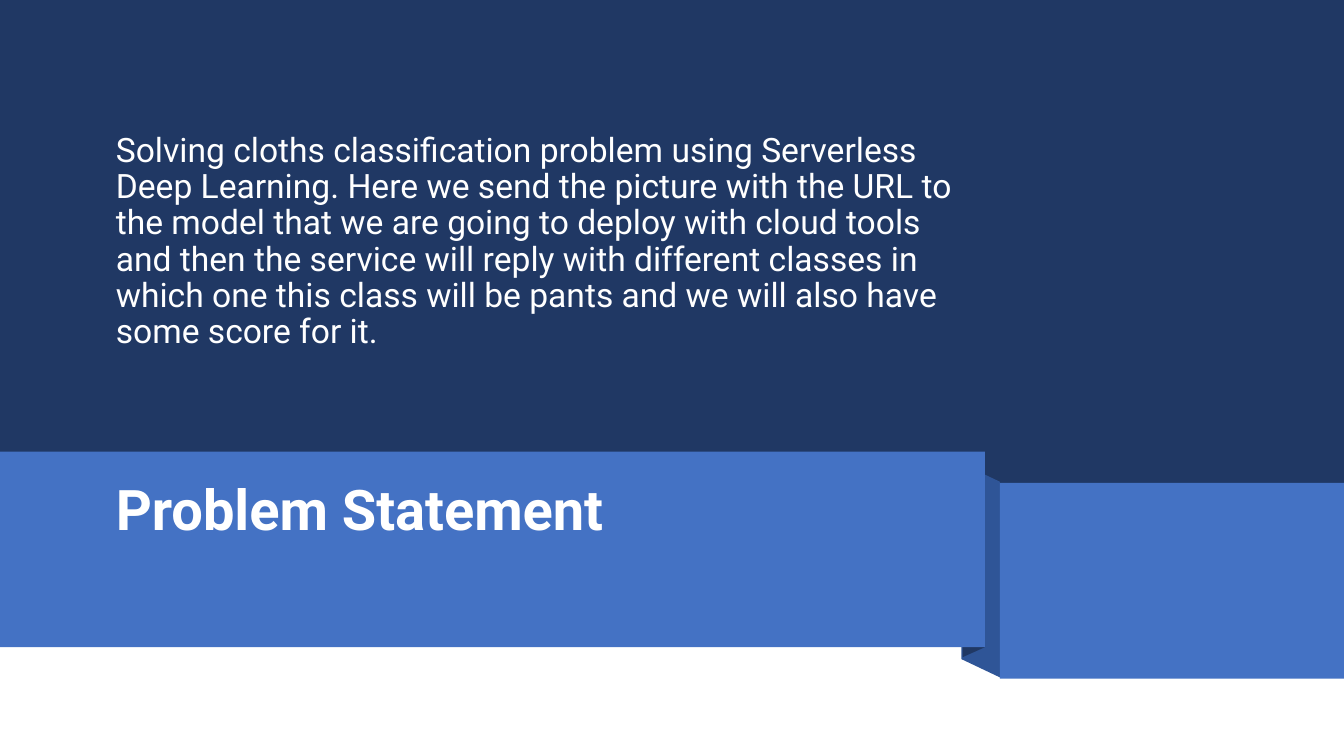
from dataclasses import dataclass

from pptx import Presentation
from pptx.dml.color import RGBColor
from pptx.enum.shapes import MSO_SHAPE
from pptx.enum.text import MSO_ANCHOR as Anchor
from pptx.shapes.autoshape import Shape
from pptx.slide import Slide
from pptx.util import Cm, Pt

SLIDE_WIDTH, SLIDE_HEIGHT = 33.87, 19.05
RIBBON_HEIGHT = 4.93
RIBBON_END = 24.82
TAIL_LEFT = 25.2
TEXT_LEFT = 2.67
NAVY, FOLD_BLUE, RIBBON_BLUE, WHITE = "203864", "2F5597", "4472C4", "FFFFFF"


@dataclass(frozen=True)
class Panel:
    left: float
    top: float
    width: float
    height: float
    color: str


@dataclass(frozen=True)
class Fold:
    """A ribbon fold: a slanted band as tall as the ribbon."""
    left: float
    left_top: float
    right: float
    right_top: float
    color: str


@dataclass(frozen=True)
class TextBlock:
    left: float
    top: float
    width: float
    height: float
    text: str
    size: int
    bold: bool
    anchor: Anchor
    margin_top: float
    space_before: int


BACKDROP = Panel(0, 0, SLIDE_WIDTH, 12.65, NAVY)
FOLDS = (
    Fold(24.23, 11.68, TAIL_LEFT, 12.14, FOLD_BLUE),
    Fold(24.26, 11.63, RIBBON_END, 11.38, NAVY),
)
RIBBON = Panel(0, 11.38, RIBBON_END, RIBBON_HEIGHT, RIBBON_BLUE)
TAIL = Panel(TAIL_LEFT, 12.17, SLIDE_WIDTH - TAIL_LEFT, RIBBON_HEIGHT, RIBBON_BLUE)

TITLE = TextBlock(TEXT_LEFT, 11.96, 20.7, 3.38, "Problem Statement",
                  40, True, Anchor.TOP, 0.2, 0)
STATEMENT = TextBlock(
    TEXT_LEFT, 2.01, 21.97, 8.18,
    "Solving cloths classification problem using Serverless Deep Learning. "
    "Here we send the picture with the URL to the model that we are going to "
    "deploy with cloud tools and then the service will reply with different "
    "classes in which one this class will be pants and we will also have "
    "some score for it.",
    24, False, Anchor.MIDDLE, 0.13, 10)


def rgb(color: str) -> RGBColor:
    return RGBColor.from_string(color)


def paint(shape: Shape, color: str) -> None:
    shape.shadow.inherit = False
    shape.fill.solid()
    shape.fill.fore_color.rgb = rgb(color)
    shape.line.fill.background()


def add_panel(slide: Slide, panel: Panel) -> None:
    shape = slide.shapes.add_shape(
        MSO_SHAPE.RECTANGLE, Cm(panel.left), Cm(panel.top),
        Cm(panel.width), Cm(panel.height))
    paint(shape, panel.color)


def add_fold(slide: Slide, fold: Fold) -> None:
    outline = slide.shapes.build_freeform(Cm(fold.left), Cm(fold.left_top))
    outline.add_line_segments([
        (Cm(fold.right), Cm(fold.right_top)),
        (Cm(fold.right), Cm(fold.right_top + RIBBON_HEIGHT)),
        (Cm(fold.left), Cm(fold.left_top + RIBBON_HEIGHT)),
    ], close=True)
    paint(outline.convert_to_shape(), fold.color)


def add_text(slide: Slide, block: TextBlock) -> None:
    frame = slide.shapes.add_textbox(
        Cm(block.left), Cm(block.top), Cm(block.width), Cm(block.height)).text_frame
    frame.word_wrap = True
    frame.vertical_anchor = block.anchor
    frame.margin_top = Cm(block.margin_top)
    paragraph = frame.paragraphs[0]
    paragraph.line_spacing = 0.9
    paragraph.space_before = Pt(block.space_before)
    run = paragraph.add_run()
    run.text = block.text
    run.font.name = "Roboto"
    run.font.size = Pt(block.size)
    run.font.bold = block.bold
    run.font.color.rgb = rgb(WHITE)


def main() -> None:
    deck = Presentation()
    deck.slide_width, deck.slide_height = Cm(SLIDE_WIDTH), Cm(SLIDE_HEIGHT)
    slide = deck.slides.add_slide(deck.slide_layouts[6])
    add_panel(slide, BACKDROP)
    for fold in FOLDS:
        add_fold(slide, fold)
    add_panel(slide, RIBBON)
    add_text(slide, TITLE)
    add_text(slide, STATEMENT)
    add_panel(slide, TAIL)
    deck.save("out.pptx")


if __name__ == "__main__":
    main()
